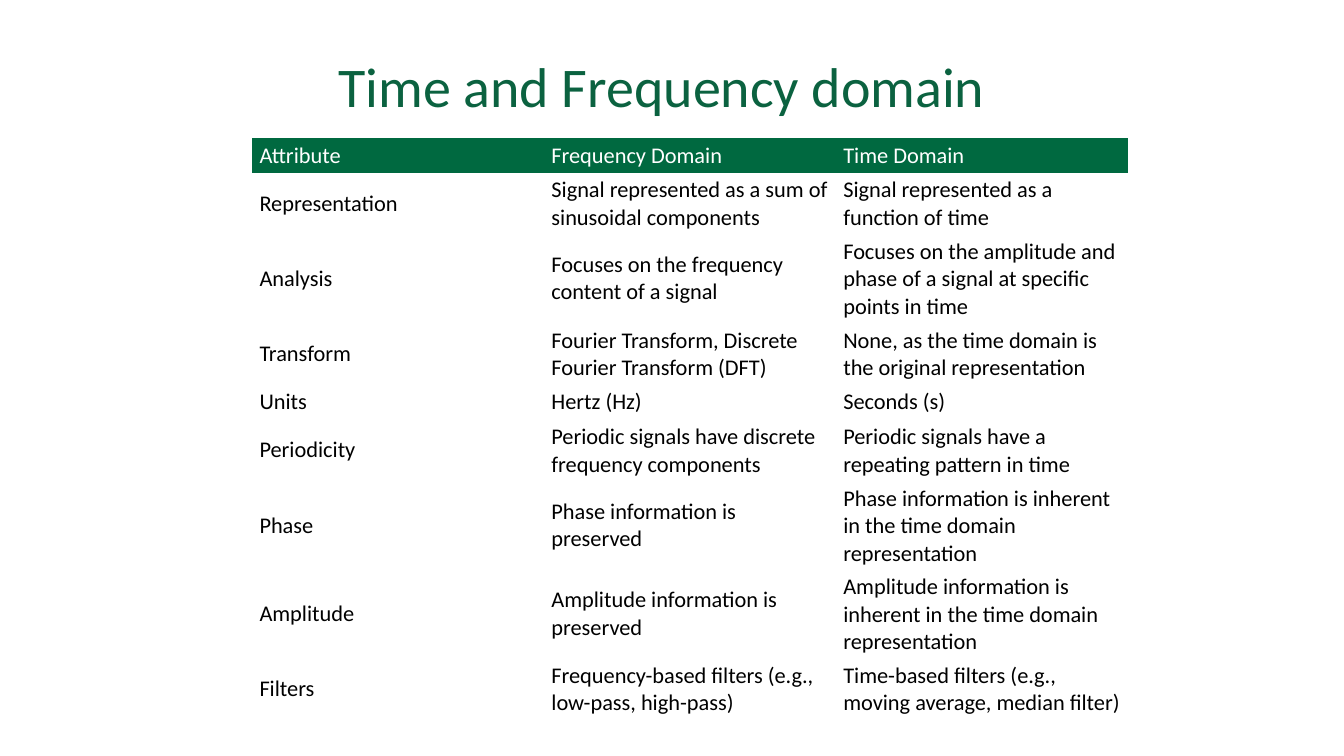
from dataclasses import dataclass

from pptx import Presentation
from pptx.dml.color import RGBColor
from pptx.enum.text import MSO_ANCHOR, PP_ALIGN
from pptx.oxml.ns import qn
from pptx.util import Cm, Pt

HEADINGS = ("Attribute", "Frequency Domain", "Time Domain")
COMPARISON = (
    ("Representation", "Signal represented as a sum of sinusoidal components",
     "Signal represented as a function of time"),
    ("Analysis", "Focuses on the frequency content of a signal",
     "Focuses on the amplitude and phase of a signal at specific points in time"),
    ("Transform", "Fourier Transform, Discrete Fourier Transform (DFT)",
     "None, as the time domain is the original representation"),
    ("Units", "Hertz (Hz)", "Seconds (s)"),
    ("Periodicity", "Periodic signals have discrete frequency components",
     "Periodic signals have a repeating pattern in time"),
    ("Phase", "Phase information is preserved",
     "Phase information is inherent in the time domain representation"),
    ("Amplitude", "Amplitude information is preserved",
     "Amplitude information is inherent in the time domain representation"),
    ("Filters", "Frequency-based filters (e.g., low-pass, high-pass)",
     "Time-based filters (e.g., moving average, median filter)"),
)
ROW_HEIGHTS = (0.76, 1.35, 1.93, 1.35, 0.76, 1.35, 1.35, 1.93, 1.35)
PLAIN_TABLE_STYLE = "{2D5ABB26-0587-4C30-8999-92F81FD0307C}"


@dataclass(frozen=True)
class Theme:
    """Colours, font and type sizes of the slide."""

    font: str = "Calibri"
    title_color: str = "0B6240"
    header_fill: str = "006940"
    header_color: str = "FFFFFF"
    body_color: str = "000000"
    title_size: int = 40
    table_size: int = 16


def write(frame, text, *, font, size, color, align=PP_ALIGN.LEFT):
    """Put formatted text into a text frame."""
    paragraph = frame.paragraphs[0]
    paragraph.alignment = align
    run = paragraph.add_run()
    run.text = text
    run.font.name = font
    run.font.size = Pt(size)
    run.font.color.rgb = RGBColor.from_string(color)


class SlideBuilder:
    """Add styled elements to one slide."""

    def __init__(self, slide, theme):
        """Keep the slide and its theme."""
        self.slide = slide
        self.theme = theme

    def title(self, text, left, top, width, height):
        """Add the centred heading."""
        heading = self.slide.shapes.add_textbox(
            Cm(left), Cm(top), Cm(width), Cm(height)).text_frame
        heading.word_wrap = True
        heading.margin_top = Cm(0.22)
        write(heading, text, font=self.theme.font, size=self.theme.title_size,
              color=self.theme.title_color, align=PP_ALIGN.CENTER)

    def table(self, records, row_heights, left, top, width, height):
        """Add a table whose first record is the header."""
        frame = self.slide.shapes.add_table(
            len(records), len(records[0]),
            Cm(left), Cm(top), Cm(width), Cm(height))
        for style in frame.element.iter(qn("a:tableStyleId")):
            style.text = PLAIN_TABLE_STYLE
        comparison = frame.table
        comparison.horz_banding = False
        for row, row_height in zip(comparison.rows, row_heights):
            row.height = Cm(row_height)
        frame.height = Cm(height)
        for row_index, record in enumerate(records):
            for column_index, text in enumerate(record):
                self.cell(comparison.cell(row_index, column_index), text,
                          is_header=row_index == 0)

    def cell(self, cell, text, is_header):
        """Fill and label one table cell."""
        theme = self.theme
        cell.vertical_anchor = MSO_ANCHOR.MIDDLE
        cell.margin_left = cell.margin_right = Cm(0.19)
        cell.margin_top = cell.margin_bottom = Cm(0.1)
        if is_header:
            cell.fill.solid()
            cell.fill.fore_color.rgb = RGBColor.from_string(theme.header_fill)
        else:
            cell.fill.background()
        write(cell.text_frame, text, font=theme.font, size=theme.table_size,
              color=theme.header_color if is_header else theme.body_color)


def main():
    """Build and save the slide."""
    presentation = Presentation()
    presentation.slide_width = Cm(33.87)
    presentation.slide_height = Cm(19.05)
    slide = presentation.slides.add_slide(presentation.slide_layouts[6])
    builder = SlideBuilder(slide, Theme())
    builder.title("Time and Frequency domain", 0.84, 1.07, 31.67, 1.7)
    builder.table((HEADINGS, *COMPARISON), ROW_HEIGHTS, 6.35, 3.47, 22.07, 15.27)
    presentation.save("out.pptx")


if __name__ == "__main__":
    main()
